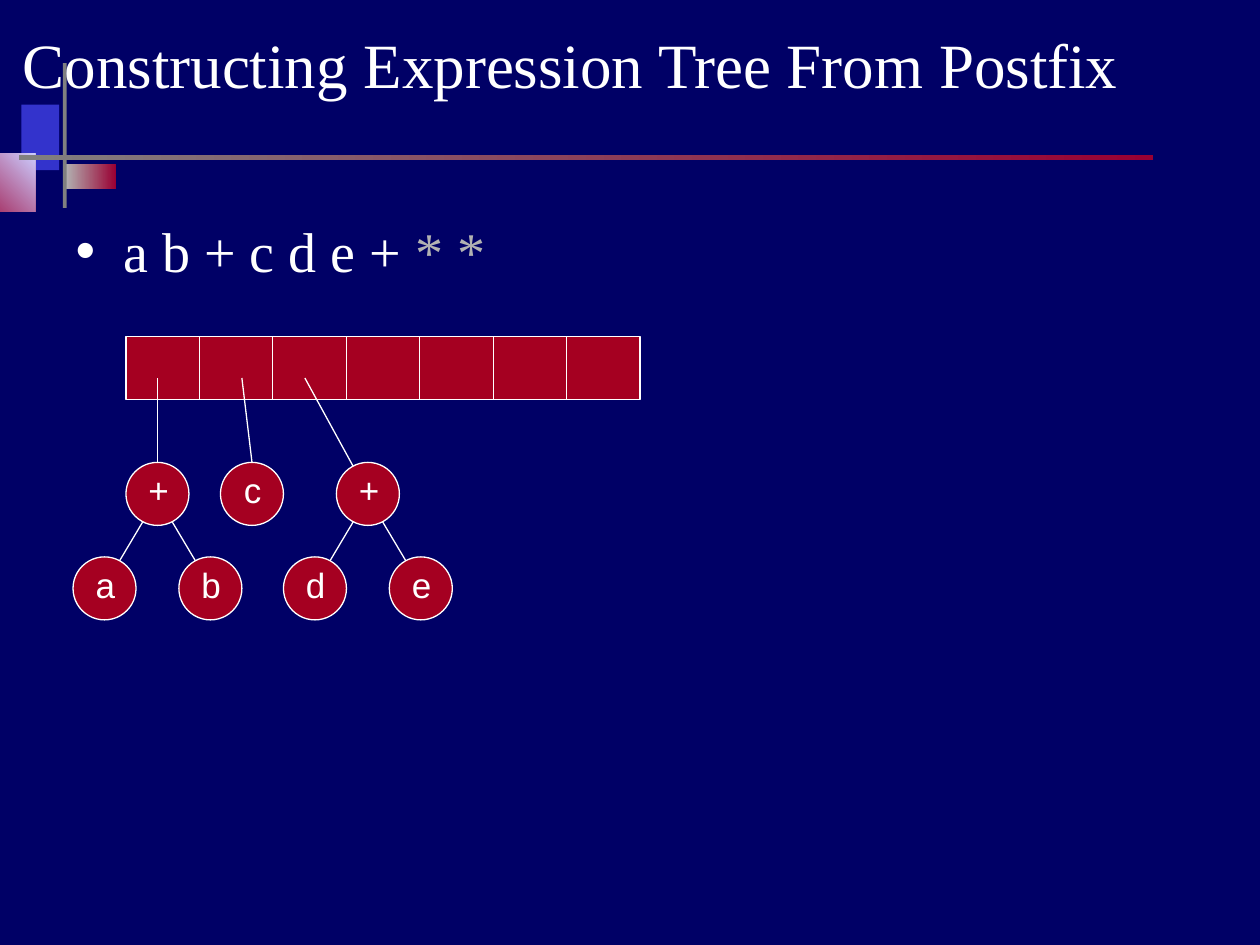
from lxml import etree
from pptx import Presentation
from pptx.dml.color import RGBColor
from pptx.enum.shapes import MSO_CONNECTOR, MSO_SHAPE
from pptx.enum.text import MSO_ANCHOR, MSO_AUTO_SIZE, PP_ALIGN
from pptx.oxml.ns import qn
from pptx.util import Inches, Pt

RECT, OVAL = MSO_SHAPE.RECTANGLE, MSO_SHAPE.OVAL
LINE = MSO_CONNECTOR.STRAIGHT
LEFT, CENTER = PP_ALIGN.LEFT, PP_ALIGN.CENTER
TOP, MIDDLE = MSO_ANCHOR.TOP, MSO_ANCHOR.MIDDLE
NO_FIT = MSO_AUTO_SIZE.NONE

NAVY = RGBColor(0x00, 0x00, 0x66)
BLUE = RGBColor(0x33, 0x33, 0xCC)
LILAC = RGBColor(0xCC, 0xCC, 0xFF)
WINE = RGBColor(0x99, 0x00, 0x33)
RED = RGBColor(0xA5, 0x00, 0x21)
GRAY = RGBColor(0x80, 0x80, 0x80)
SILVER = RGBColor(0xB2, 0xB2, 0xB2)
WHITE = RGBColor(0xFF, 0xFF, 0xFF)

SERIF, SANS = "Times New Roman", "Arial"
NODE = 0.5             # circle diameter
ROOT_Y, LEAF_Y = 3.67, 4.42
STACK = (1, 2.67, 4.08, 0.5)
CELLS = 7


def add_text(para, text, size=20, font=SANS, color=WHITE, align=LEFT):
    para.alignment = align
    run = para.add_run()
    run.text = text
    run.font.size = Pt(size)
    run.font.name = font
    run.font.color.rgb = color


def add_shape(shapes, kind, box, *colors, angle=0, edge=None):
    """Draw a preset shape; two colours make a gradient."""
    shape = shapes.add_shape(kind, *map(Inches, box))
    shape.shadow.inherit = False
    if len(colors) == 1:
        shape.fill.solid()
        shape.fill.fore_color.rgb = colors[0]
    else:
        shape.fill.gradient()
        shape.fill.gradient_angle = angle
        for stop, color in zip(shape.fill.gradient_stops, colors):
            stop.color.rgb = color
    if edge is None:
        shape.line.fill.background()
    else:
        shape.line.color.rgb = edge
        shape.line.width = Pt(0.75)


def add_line(shapes, x1, y1, x2, y2):
    line = shapes.add_connector(LINE, *map(Inches, (x1, y1, x2, y2)))
    line.line.color.rgb = WHITE
    line.line.width = Pt(0.75)
    etree.SubElement(line._element.spPr, qn("a:effectLst"))


def add_node(shapes, mid, top, label):
    """Draw a circle grouped with its label."""
    group = shapes.add_group_shape().shapes
    add_shape(group, OVAL, (mid - NODE / 2, top, NODE, NODE), RED, edge=WHITE)
    box = group.add_textbox(*map(Inches, (mid - 0.17, top, 0.35, 0.44)))
    box.text_frame.word_wrap = False
    add_text(box.text_frame.paragraphs[0], label, align=CENTER)


def add_tree(shapes, mid, root, leaves):
    """Draw a root with two leaves below it."""
    for side, leaf in zip((-1, 1), leaves):
        add_line(shapes, mid + side * 0.08, 4.08, mid + side * 0.33, 4.5)
        add_node(shapes, mid + side * 0.42, LEAF_Y, leaf)
    add_node(shapes, mid, ROOT_Y, root)


def add_stack(shapes):
    left, top, width, height = STACK
    add_shape(shapes, RECT, STACK, RED, edge=WHITE)
    for i in range(1, CELLS):
        x = left + i * width / CELLS
        add_line(shapes, x, top, x, top + height)


def add_decor(shapes):
    add_shape(shapes, RECT, (0.17, 0.83, 0.3, 0.52), BLUE)
    add_shape(shapes, RECT, (0.52, 1.3, 0.4, 0.2), SILVER, WINE)
    add_shape(shapes, RECT, (-0.33, 1.22, 0.61, 0.46), WINE, LILAC, angle=45)
    add_shape(shapes, RECT, (0.5, 0.5, 0.03, 1.15), GRAY)
    add_shape(shapes, RECT, (0.15, 1.23, 9, 0.04), GRAY, WINE)


def place(slide, holder, box, anchor):
    """Move a placeholder, bring it to the front and return its paragraph."""
    holder.left, holder.top, holder.width, holder.height = map(Inches, box)
    slide.shapes._spTree.append(holder._element)
    frame = holder.text_frame
    frame.word_wrap = True
    frame.auto_size = NO_FIT
    frame.vertical_anchor = anchor
    para = frame.paragraphs[0]
    para.space_before = Pt(0)
    return para


def add_bullet(para):
    props = para._p.get_or_add_pPr()
    props.set("marL", str(Inches(0.38)))
    props.set("indent", str(Inches(-0.38)))
    tint = etree.SubElement(props, qn("a:buClr"))
    etree.SubElement(tint, qn("a:srgbClr"), val=str(WHITE))
    etree.SubElement(props, qn("a:buChar"), char="•")


def main():
    deck = Presentation()
    deck.slide_width, deck.slide_height = Inches(10), Inches(7.5)
    slide = deck.slides.add_slide(deck.slide_layouts[1])
    slide.background.fill.solid()
    slide.background.fill.fore_color.rgb = NAVY
    shapes = slide.shapes
    title, body = shapes.title, slide.placeholders[1]

    # Corner ornament, behind the title
    add_decor(shapes)

    # Title and postfix expression
    para = place(slide, title, (0.08, 0, 9, 1), MIDDLE)
    add_text(para, "Constructing Expression Tree From Postfix", 36, SERIF)
    para = place(slide, body, (0.5, 1.67, 9, 0.92), TOP)
    add_bullet(para)
    add_text(para, "a b + c d e +", 32, SERIF)
    add_text(para, " * *", 32, SERIF, SILVER)

    # Stack with pointers to the trees
    add_stack(shapes)
    add_line(shapes, 1.25, 3, 1.25, ROOT_Y)
    add_line(shapes, 1.92, 3, 2, ROOT_Y)
    add_line(shapes, 2.42, 3, 2.83, 3.75)

    # Trees
    add_tree(shapes, 1.25, "+", "ab")
    add_node(shapes, 2, ROOT_Y, "c")
    add_tree(shapes, 2.92, "+", "de")

    deck.save("out.pptx")


if __name__ == "__main__":
    main()
